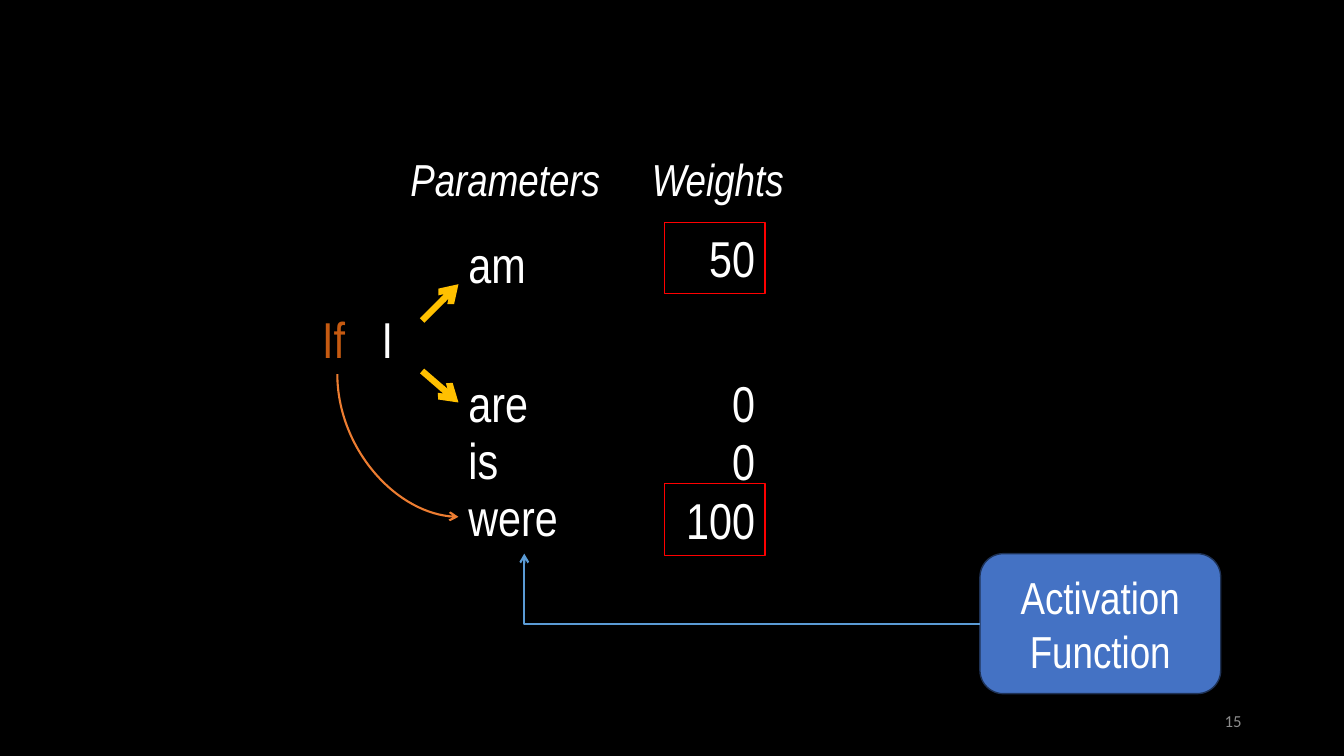
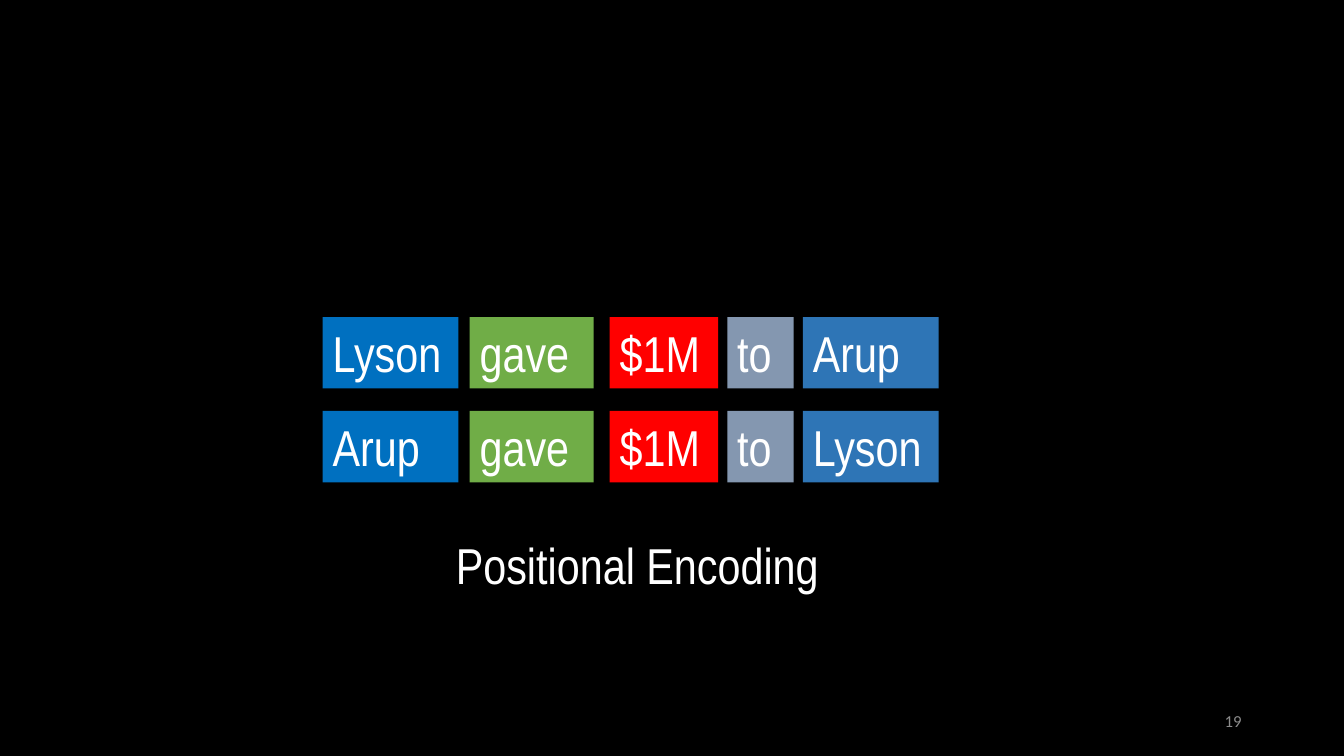
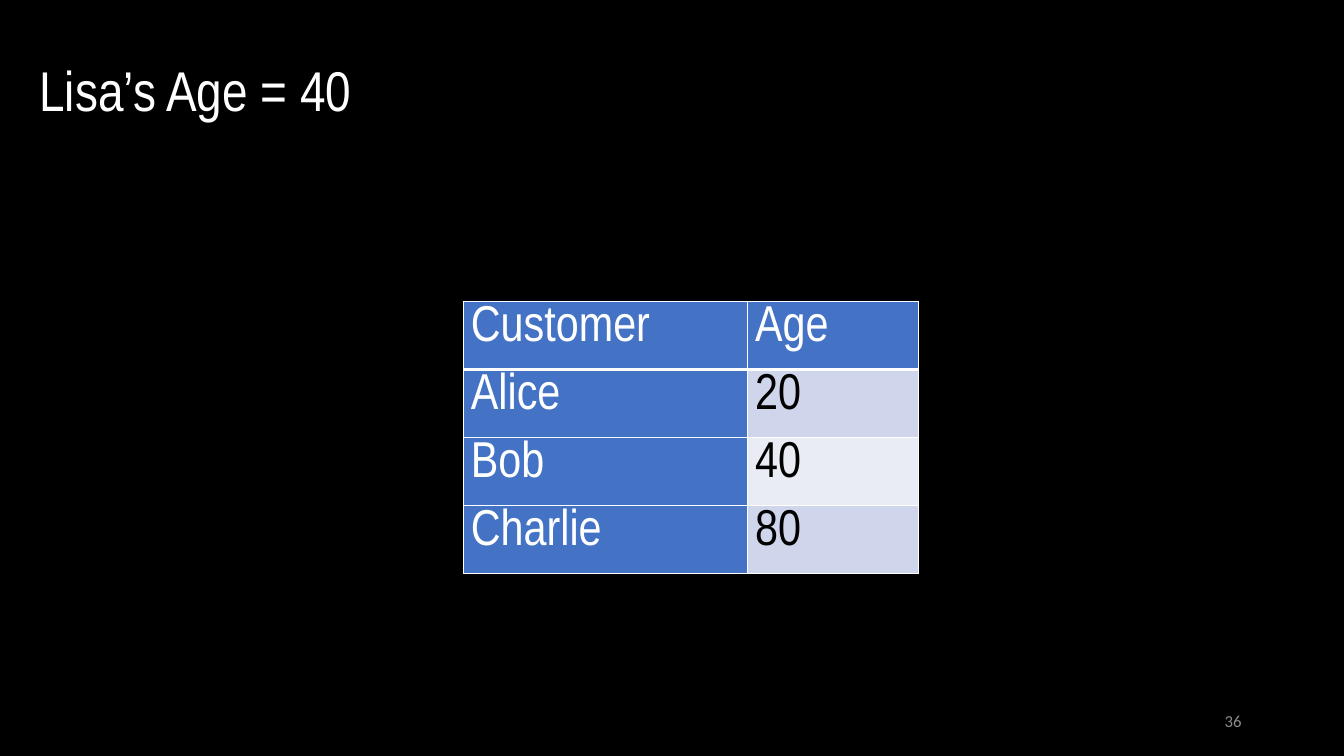
import dataclasses

import pptx
import pptx.dml.color
import pptx.enum.shapes
import pptx.enum.text
import pptx.oxml
import pptx.oxml.ns
import pptx.util

Pt = pptx.util.Pt
ALIGN = pptx.enum.text.PP_ALIGN
ANCHOR = pptx.enum.text.MSO_ANCHOR
SHAPE = pptx.enum.shapes.MSO_SHAPE
CONNECTOR = pptx.enum.shapes.MSO_CONNECTOR


@dataclasses.dataclass(frozen=True)
class Theme:
    font: str = "Arial Narrow"
    number_font: str = "Calibri"
    title_size: float = 40
    body_size: float = 36
    label_size: float = 32
    number_size: float = 12
    black: str = "000000"
    white: str = "FFFFFF"
    gray: str = "8C8C8C"
    gold: str = "FFC000"
    red: str = "FF0000"
    rust: str = "C55A11"
    orange: str = "ED7D31"
    green: str = "70AD47"
    slate: str = "8497B0"
    blue: str = "4472C4"
    dark_blue: str = "1E3256"
    light_blue: str = "5B9BD5"
    giver_blue: str = "0070C0"
    receiver_blue: str = "2E75B6"
    band_dark: str = "CFD5EA"
    band_light: str = "E9EBF5"


THEME = Theme()
LINE_HEIGHT = 51


def rgb(color):
    return pptx.dml.color.RGBColor.from_string(color)


def write(frame, text, size=THEME.body_size, color=THEME.white, font=THEME.font,
          italic=False, align=ALIGN.LEFT, anchor=ANCHOR.TOP, spacing=1.0):
    frame.word_wrap = True
    frame.vertical_anchor = anchor
    paragraph = frame.paragraphs[0]
    paragraph.alignment = align
    paragraph.line_spacing = spacing
    run = paragraph.add_run()
    run.text = text
    run.font.size = Pt(size)
    run.font.name = font
    run.font.italic = italic
    run.font.color.rgb = rgb(color)


def border(cell, side, width):
    """Put a white line on one side (L, R, T or B) of a filled table cell."""
    line = pptx.oxml.parse_xml(
        f'<a:ln{side} {pptx.oxml.ns.nsdecls("a")} w="{Pt(width)}"><a:solidFill>'
        f'<a:srgbClr val="{THEME.white}"/></a:solidFill></a:ln{side}>')
    properties = cell._tc.get_or_add_tcPr()
    properties.insert("LRTB".index(side), line)


class Deck:
    def __init__(self):
        self.presentation = pptx.Presentation()
        self.presentation.slide_width = Pt(960)
        self.presentation.slide_height = Pt(540)
        background = self.presentation.slide_master.background.fill
        background.solid()
        background.fore_color.rgb = rgb(THEME.black)
        self.slide = None

    def start(self, number, title=None):
        layout = self.presentation.slide_layouts[5 if title else 6]
        self.slide = self.presentation.slides.add_slide(layout)
        if title:
            heading = self.slide.shapes.title
            heading.left, heading.top = Pt(21), Pt(36)
            heading.width, heading.height = Pt(574), Pt(55.5)
            heading.text_frame.auto_size = pptx.enum.text.MSO_AUTO_SIZE.NONE
            write(heading.text_frame, title, size=THEME.title_size)
        self.text(number, 678, 500.5, 216, 29, size=THEME.number_size,
                  font=THEME.number_font, color=THEME.gray,
                  align=ALIGN.RIGHT, anchor=ANCHOR.MIDDLE)

    def text(self, text, left, top, width, height=LINE_HEIGHT, **style):
        area = self.slide.shapes.add_textbox(Pt(left), Pt(top), Pt(width), Pt(height))
        write(area.text_frame, text, **style)

    def box(self, text, left, top, width, height=LINE_HEIGHT, fill=None, outline=None,
            outline_width=0.75, preset=SHAPE.RECTANGLE, **style):
        shape = self.slide.shapes.add_shape(
            preset, Pt(left), Pt(top), Pt(width), Pt(height))
        shape.shadow.inherit = False
        if fill:
            shape.fill.solid()
            shape.fill.fore_color.rgb = rgb(fill)
        else:
            shape.fill.background()
        if outline:
            shape.line.color.rgb = rgb(outline)
            shape.line.width = Pt(outline_width)
        else:
            shape.line.fill.background()
        write(shape.text_frame, text, **style)

    def arrow(self, start, end, color, width, kind=CONNECTOR.STRAIGHT):
        connector = self.slide.shapes.add_connector(
            kind, *(Pt(length) for length in (*start, *end)))
        connector.line.color.rgb = rgb(color)
        connector.line.width = Pt(width)
        namespace = pptx.oxml.ns.nsdecls("a")
        connector.line._get_or_add_ln().append(
            pptx.oxml.parse_xml(f'<a:tailEnd {namespace} type="arrow"/>'))
        connector._element.spPr.append(pptx.oxml.parse_xml(f"<a:effectLst {namespace}/>"))
        return connector

    def corner_arrow(self, left, top, width, height, color, kind, preset, turn, flip=False):
        """Draw a one-corner arrow; the box is the one before the turn in degrees."""
        connector = self.arrow((left, top), (left + width, top + height), color, 1.5, kind)
        properties = connector._element.spPr
        properties.find(pptx.oxml.ns.qn("a:prstGeom")).set("prst", preset)
        transform = properties.find(pptx.oxml.ns.qn("a:xfrm"))
        transform.set("rot", str(turn * 60000))
        if flip:
            transform.set("flipH", "1")

    def table(self, rows, left, top, widths, row_height):
        frame = self.slide.shapes.add_table(
            len(rows), len(widths), Pt(left), Pt(top),
            Pt(sum(widths)), Pt(row_height * len(rows)))
        table = frame.table
        table.horz_banding = False
        for column, width in zip(table.columns, widths):
            column.width = Pt(width)
        for r, values in enumerate(rows):
            table.rows[r].height = Pt(row_height)
            for c, value in enumerate(values):
                heading = r == 0 or c == 0
                band = THEME.band_dark if r % 2 else THEME.band_light
                cell = table.cell(r, c)
                cell.margin_left = cell.margin_right = Pt(5.4)
                cell.margin_top = cell.margin_bottom = 0
                cell.fill.solid()
                cell.fill.fore_color.rgb = rgb(THEME.blue if heading else band)
                write(cell.text_frame, value, spacing=1.07,
                      color=THEME.white if heading else THEME.black)
                for side in "LRTB":
                    below_header = (r, side) in ((0, "B"), (1, "T"))
                    border(cell, side, 3 if below_header else 1)


def parameters_slide(deck):
    deck.start("15")
    for heading, left, width in (("Parameters", 286, 157), ("Weights", 458.5, 137.5)):
        deck.text(heading, left, 104.5, width, 46, size=THEME.label_size, italic=True)

    deck.text("If", 223, 216.5, 36, color=THEME.rust)
    deck.text("I", 265.5, 216.5, 36)

    parameters = (("am", 163, "50", 159, True), ("are", 262, "0", 262, False),
                  ("is", 303, "0", 304, False), ("were", 344, "100", 345.5, True))
    for word, word_top, weight, weight_top, chosen in parameters:
        deck.text(word, 327.5, word_top, 93)
        deck.box(weight, 474.5, weight_top, 72, align=ALIGN.RIGHT,
                 outline=THEME.red if chosen else None)

    deck.arrow((301.5, 229), (327.5, 203), THEME.gold, 4.5)
    deck.arrow((301.5, 265), (327.5, 287.5), THEME.gold, 4.5)
    deck.corner_arrow(233.25, 275, 102, 86.5, THEME.orange,
                      CONNECTOR.CURVE, "curvedConnector2", 270, flip=True)

    deck.box("Activation Function", 700, 395.5, 172, 100, fill=THEME.blue,
             outline=THEME.dark_blue, outline_width=1, preset=SHAPE.ROUNDED_RECTANGLE,
             size=THEME.label_size, align=ALIGN.CENTER, anchor=ANCHOR.MIDDLE)
    deck.corner_arrow(374.5, 395.5, 325.5, 50, THEME.light_blue,
                      CONNECTOR.ELBOW, "bentConnector2", 180)


def encoding_slide(deck):
    deck.start("19")
    positions = ((230.5, 97, THEME.giver_blue), (335.5, 88.5, THEME.green),
                 (435.5, 77.5, THEME.red), (519.5, 47.5, THEME.slate),
                 (573.5, 97, THEME.receiver_blue))
    sentences = (("Lyson", "gave", "$1M", "to", "Arup"),
                 ("Arup", "gave", "$1M", "to", "Lyson"))
    for row, sentence in enumerate(sentences):
        for word, (left, width, color) in zip(sentence, positions):
            deck.box(word, left, 226.5 + 67 * row, width, fill=color)
    deck.text("Positional Encoding", 318.5, 378, 298)


def age_slide(deck):
    deck.start("36", title="Lisa’s Age = 40")
    customers = (("Customer", "Age"), ("Alice", "20"), ("Bob", "40"), ("Charlie", "80"))
    deck.table(customers, 331, 215.5, (203, 122), 48.5)


def main():
    deck = Deck()
    parameters_slide(deck)
    encoding_slide(deck)
    age_slide(deck)
    deck.presentation.save("out.pptx")


if __name__ == "__main__":
    main()
